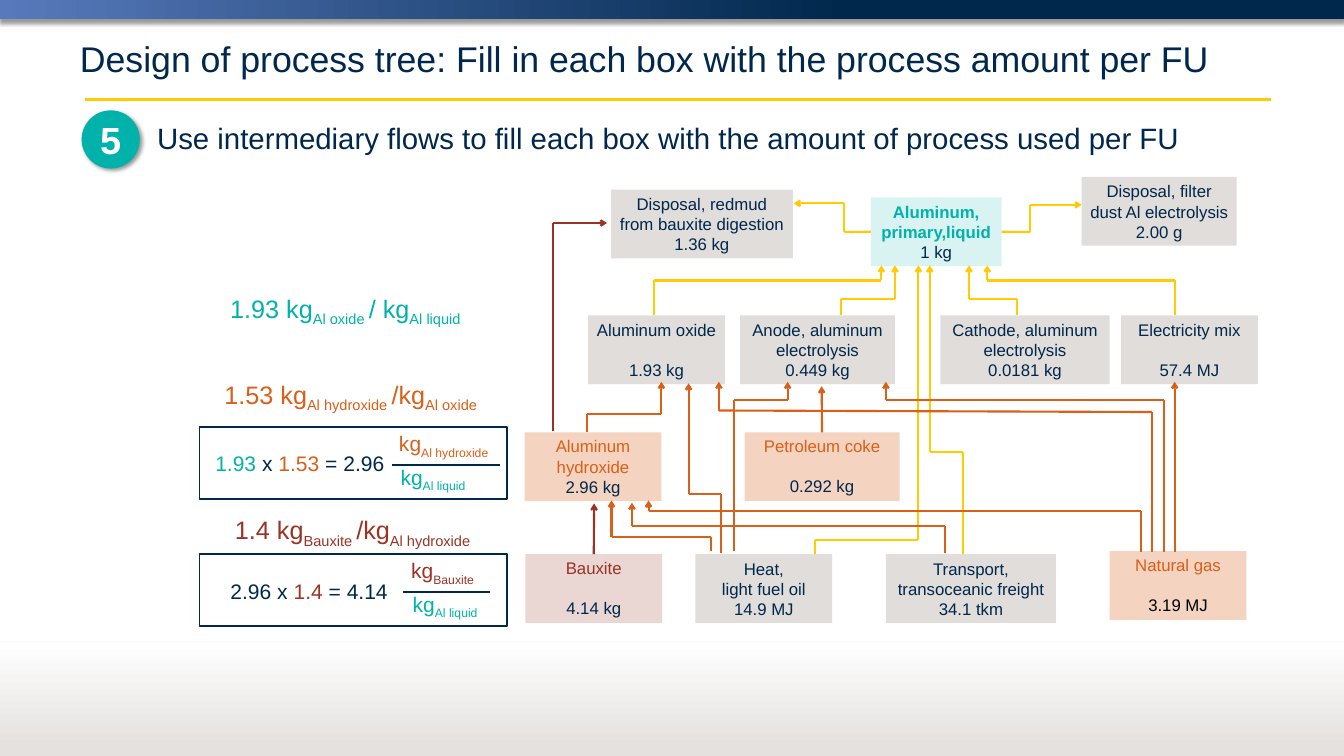
"""Build the aluminum process tree slide with the process amount per functional unit."""
from lxml import etree
from pptx import Presentation
from pptx.dml.color import RGBColor
from pptx.enum.shapes import MSO_CONNECTOR, MSO_SHAPE
from pptx.enum.text import MSO_ANCHOR, PP_ALIGN
from pptx.oxml.ns import qn
from pptx.util import Inches, Pt

RECTANGLE, OVAL = MSO_SHAPE.RECTANGLE, MSO_SHAPE.OVAL
STRAIGHT = MSO_CONNECTOR.STRAIGHT
TOP, MIDDLE = MSO_ANCHOR.TOP, MSO_ANCHOR.MIDDLE
LEFT, CENTER = PP_ALIGN.LEFT, PP_ALIGN.CENTER
SIDE_TOP, SIDE_LEFT, SIDE_RIGHT = 0, 1, 3
FONT = "Arial"
COLORS = {
    "navy": "00274C", "blue": "587ABC", "yellow": "FFCB05", "teal": "00B2A9",
    "orange": "D86018", "red": "9A3324", "grey": "B0A8A2", "light": "E4E1DF",
    "white": "FFFFFF", "black": "000000",
}
PAINT = {name: RGBColor.from_string(value) for name, value in COLORS.items()}

deck = Presentation()
deck.slide_width, deck.slide_height = Inches(17.78), Inches(10)
page = deck.slides.add_slide(deck.slide_layouts[6])


def add_text(text, at=None, box=None, size=16, bold=False, align=LEFT, anchor=TOP, gap=0):
    """Write paragraphs of (words, color, is_subscript) spans into a box."""
    box = box or page.shapes.add_textbox(*map(Inches, at))
    frame = box.text_frame
    frame.word_wrap, frame.vertical_anchor = True, anchor
    for index, spans in enumerate(text):
        para = frame.paragraphs[0] if index == 0 else frame.add_paragraph()
        para.alignment = align
        if index and gap:
            para.space_before = Pt(gap)
        for words, color, subscript in spans:
            span = para.add_run()
            span.text = words
            span.font.name, span.font.size = FONT, Pt(size)
            span.font.bold = bold and color != "navy"
            span.font.color.rgb = PAINT[color]
            if subscript:
                span.font._element.set("baseline", "-25000")


def add_line(start, end, color, width=2, arrow=False):
    """Draw a straight line, with an arrowhead at its end if wanted."""
    line = page.shapes.add_connector(STRAIGHT, *map(Inches, (*start, *end)))
    line.line.color.rgb, line.line.width = PAINT[color], Pt(width)
    if arrow:
        etree.SubElement(line.line._get_or_add_ln(), qn("a:tailEnd"), type="arrow")
    etree.SubElement(line._element.spPr, qn("a:effectLst"))
    return line


bands = [
    (0, 0.25, 0, [("blue", 0), ("navy", 0.63)]),
    (8.5, 1.5, 90, [("light", 0.08), ("white", 1)]),
]
shaded = []
for top, height, angle, stops in bands:
    band = page.shapes.add_shape(RECTANGLE, 0, Inches(top), deck.slide_width, Inches(height))
    band.shadow.inherit = False
    band.line.fill.background()
    band.fill.gradient()
    band.fill.gradient_angle = angle
    for stop, (color, position) in zip(band.fill.gradient_stops, stops):
        stop.color.rgb, stop.position = PAINT[color], position
    shaded.append((band, 90))
shaded.pop()
add_line((1.12, 1.32), (16.81, 1.32), "yellow", width=3)
footer_line = add_line((0, 8.49), (17.78, 8.49), "light", width=0.75)
line_color = footer_line._element.spPr.find(".//" + qn("a:srgbClr"))
etree.SubElement(line_color, qn("a:alpha"), val="30000")

add_text([[("Design of process tree: Fill in each box with the process amount per FU", "navy", False)]],
         at=(0.96, 0.3, 16, 0.95), size=34, anchor=MIDDLE)
add_text([[("Use intermediary flows to fill each box with the amount of process used per FU", "navy", False)]],
         at=(1.98, 1.54, 14.51, 0.57), size=28)
badge = page.shapes.add_shape(OVAL, *map(Inches, (1.08, 1.46, 0.77, 0.77)))
badge.shadow.inherit = False
badge.fill.solid()
badge.fill.fore_color.rgb = PAINT["teal"]
badge.line.fill.background()
add_text([[("5", "white", False)]], box=badge, size=36, bold=True, align=CENTER, anchor=MIDDLE)
shaded.append((badge, 45))

for shape, direction in shaded:
    effects = shape._element.spPr.find(qn("a:effectLst"))
    shadow = etree.SubElement(effects, qn("a:outerShdw"), blurRad=str(Pt(4)), dist=str(Pt(3)),
                              dir=str(direction * 60000), rotWithShape="0")
    shadow_color = etree.SubElement(shadow, qn("a:srgbClr"), val=COLORS["black"])
    etree.SubElement(shadow_color, qn("a:alpha"), val="40000")

BOX_HEIGHT, EMPTY_LINE = 0.91, 18.4
styles = {
    "grey": (39, "navy", MIDDLE), "teal": (15, "teal", MIDDLE),
    "orange": (27, "orange", TOP), "red": (20, "red", TOP),
}
processes = [
    ("redmud", 8.08, 2.51, 2.41, "grey", ["Disposal, redmud from bauxite digestion"], "1.36 kg", 0),
    ("aluminum", 11.52, 2.61, 1.73, "teal", ["Aluminum, primary,liquid"], "1 kg", 0),
    ("dust", 14.31, 2.34, 2.05, "grey", ["Disposal, filter dust Al electrolysis"], "2.00 g", 0),
    ("oxide", 7.78, 4.17, 1.81, "grey", ["Aluminum oxide"], "1.93 kg", EMPTY_LINE),
    ("anode", 9.79, 4.17, 2.05, "grey", ["Anode, aluminum electrolysis"], "0.449 kg", 0),
    ("cathode", 12.44, 4.17, 2.24, "grey", ["Cathode, aluminum electrolysis"], "0.0181 kg", 0),
    ("electricity", 14.83, 4.17, 1.81, "grey", ["Electricity mix"], "57.4 MJ", EMPTY_LINE),
    ("hydroxide", 6.94, 5.72, 1.81, "orange", ["Aluminum hydroxide"], "2.96 kg", 0),
    ("coke", 9.85, 5.72, 2.05, "orange", ["Petroleum coke"], "0.292 kg", EMPTY_LINE),
    ("bauxite", 6.95, 7.33, 1.81, "red", ["Bauxite"], "4.14 kg", EMPTY_LINE),
    ("heat", 9.2, 7.33, 1.81, "grey", ["Heat,", "light fuel oil"], "14.9 MJ", 0),
    ("transport", 11.72, 7.33, 2.25, "grey", ["Transport, transoceanic freight"], "34.1 tkm", 0),
    ("gas", 14.68, 7.29, 1.81, "orange", ["Natural gas"], "3.19 MJ", EMPTY_LINE),
]
boxes = {}
for name, left, top, width, color, label, amount, gap in processes:
    opacity, ink, anchor = styles[color]
    box = page.shapes.add_shape(RECTANGLE, *map(Inches, (left, top, width, BOX_HEIGHT)))
    box.shadow.inherit = False
    box.line.fill.background()
    box.fill.solid()
    box.fill.fore_color.rgb = PAINT[color]
    fill_color = box._element.spPr.find(".//" + qn("a:srgbClr"))
    etree.SubElement(fill_color, qn("a:alpha"), val=str(opacity * 1000))
    amount_ink = "black" if name == "gas" else "navy"
    text = [[(words, ink, False)] for words in label] + [[(amount, amount_ink, False)]]
    add_text(text, box=box, bold=color == "teal", align=CENTER, anchor=anchor, gap=gap)
    boxes[name] = box

flows = [
    ("yellow", [(15.54, 4.17), (15.54, 3.71), (13.06, 3.71), (13.06, 3.51)], None),
    ("yellow", [(13.45, 4.17), (13.45, 3.95), (12.82, 3.95), (12.82, 3.51)], None),
    ("yellow", [(8.65, 4.17), (8.65, 3.71), (11.66, 3.71), (11.66, 3.51)], None),
    ("yellow", [(11.13, 4.17), (11.13, 3.95), (11.84, 3.95), (11.84, 3.51)], None),
    ("yellow", [(12.74, 7.33), (12.74, 5.98), (12.3, 5.98), (12.3, 3.51)], None),
    ("yellow", [(10.78, 7.33), (10.78, 7.14), (12.15, 7.14), (12.15, 3.51)], None),
    ("yellow", [(13.25, 3.07), (13.63, 3.07), (13.63, 2.71), (14.31, 2.71)], ("aluminum", SIDE_RIGHT)),
    ("yellow", [(11.52, 3.07), (11.17, 3.07), (11.17, 2.69), (10.5, 2.69)], ("aluminum", SIDE_LEFT)),
    ("orange", [(10.87, 5.72), (10.87, 5.11)], ("coke", SIDE_TOP)),
    ("orange", [(7.77, 5.72), (7.77, 5.48), (8.75, 5.48), (8.75, 5.05)], None),
    ("orange", [(9.41, 7.29), (9.41, 7.1), (8.09, 7.1), (8.09, 6.62)], None),
    ("orange", [(9.54, 7.32), (9.54, 6.53), (9.11, 6.53), (9.11, 5.07)], None),
    ("orange", [(9.71, 7.29), (9.71, 5.29), (10.42, 5.29), (10.42, 5.05)], None),
    ("orange", [(12.5, 7.32), (12.5, 6.96), (8.36, 6.96), (8.36, 6.65)], None),
    ("orange", [(15.09, 7.3), (15.09, 6.76), (8.58, 6.76), (8.58, 6.62)], None),
    ("orange", [(15.54, 7.3), (15.54, 5.05)], None),
    ("orange", [(15.4, 7.3), (15.4, 5.29), (11.72, 5.29), (11.72, 5.05)], None),
    ("orange", [(15.24, 7.3), (15.24, 5.45), (9.51, 5.43), (9.51, 5.05)], None),
    ("red", [(7.86, 7.33), (7.86, 6.66)], ("bauxite", SIDE_TOP)),
    ("red", [(7.31, 5.7), (7.31, 2.95), (8.03, 2.95)], None),
]
for color, points, source in flows:
    for index, (start, end) in enumerate(zip(points, points[1:])):
        segment = add_line(start, end, color, arrow=end == points[-1])
        if source and index == 0:
            segment.begin_connect(boxes[source[0]], source[1])

ratios = [
    ((2.64, 3.83, 3.86, 0.5), "teal", CENTER, "1.93 kg", "Al oxide ", "/ kg", "Al liquid"),
    ((2.87, 4.97, 3.85, 0.5), "orange", LEFT, "1.53 kg", "Al hydroxide ", "/kg", "Al oxide"),
    ((3.01, 6.76, 3.61, 0.5), "red", LEFT, "1.4 kg", "Bauxite ", "/kg", "Al hydroxide"),
]
for at, color, align, *parts in ratios:
    spans = [(words, color, index % 2 == 1) for index, words in enumerate(parts)]
    add_text([spans], at=at, size=24, align=align)

products = [
    (5.65, 2.75, 5.91, [("1.93 ", "teal"), ("x", "navy"), (" 1.53 ", "orange"), ("= 2.96", "navy")],
     5.18, "orange", "Al hydroxide", 5.19, 6.62),
    (7.33, 2.95, 7.6, [("2.96 x ", "navy"), ("1.4 ", "red"), ("= 4.14", "navy")],
     5.34, "red", "Bauxite", 5.33, 6.48),
]
for top, left, middle, factors, unit_left, color, substance, bar_start, bar_end in products:
    border = page.shapes.add_shape(RECTANGLE, *map(Inches, (2.64, top, 4.07, 0.95)))
    border.shadow.inherit = False
    border.fill.background()
    border.line.color.rgb, border.line.width = PAINT["navy"], Pt(1.5)
    add_text([[(words, ink, False) for words, ink in factors]], at=(left, middle, 2.68, 0.44), size=20)
    units = [(unit_left, top, color, substance), (unit_left + 0.02, top + 0.44, "teal", "Al liquid")]
    for x, y, ink, subscript in units:
        add_text([[("kg", ink, False), (subscript, ink, True)]], at=(x, y, 1.65, 0.44), size=20)
    add_line((bar_start, top + 0.5), (bar_end, top + 0.5), "navy", width=1.5)

deck.save("out.pptx")
